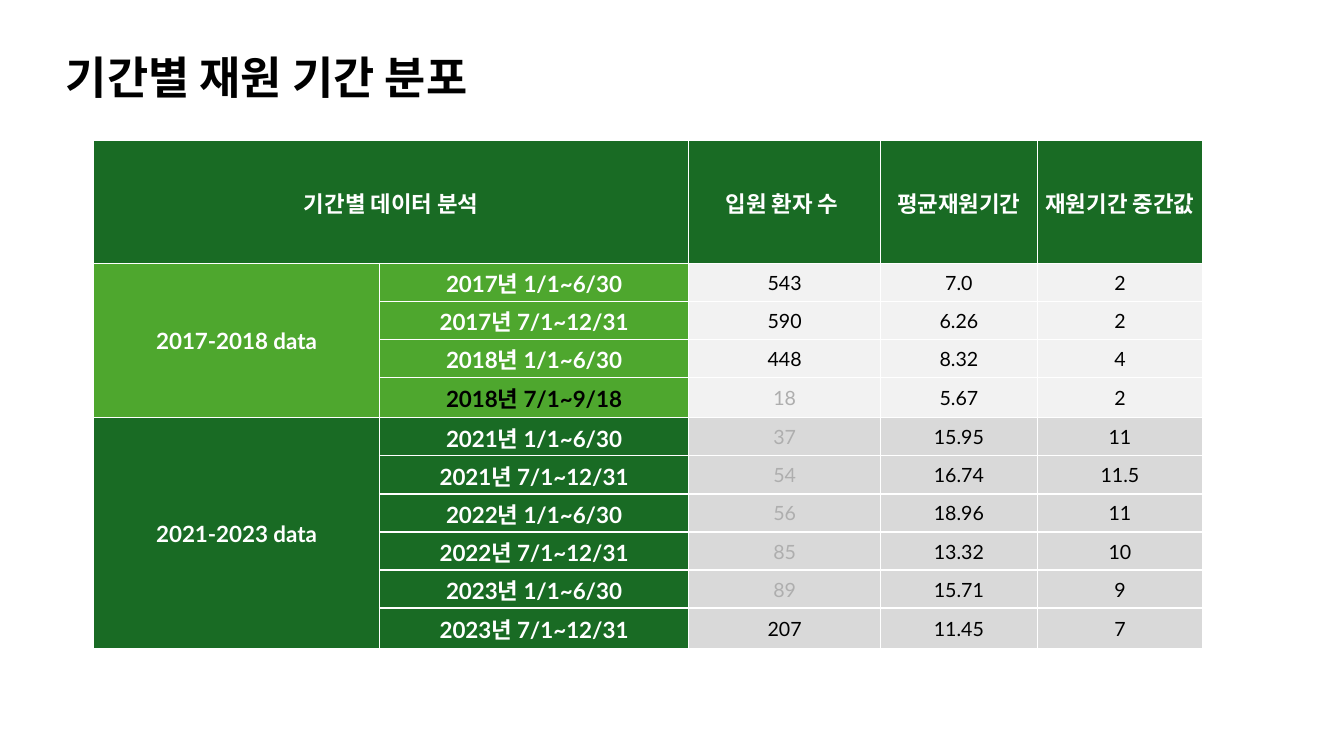
from lxml.etree import SubElement
from pptx import Presentation
from pptx.dml.color import RGBColor
from pptx.enum.text import MSO_ANCHOR as Anchor, PP_ALIGN as Align
from pptx.oxml.ns import qn
from pptx.util import Pt

TITLE = "기간별 재원 기간 분포"
PERIOD_HEADER = "기간별 데이터 분석"
MEASURE_HEADERS = ["입원 환자 수 ", "평균재원기간", "재원기간 중간값"]
GROUPS = [
    ("2017-2018 data", "light_green", "light_gray", [
        ("2017년 1/1~6/30", "543", "7.0", "2"),
        ("2017년 7/1~12/31", "590", "6.26", "2"),
        ("2018년 1/1~6/30", "448", "8.32", "4"),
        ("2018년 7/1~9/18", "18", "5.67", "2"),
    ]),
    ("2021-2023 data", "dark_green", "gray", [
        ("2021년 1/1~6/30", "37", "15.95", "11"),
        ("2021년 7/1~12/31", "54", "16.74", "11.5"),
        ("2022년 1/1~6/30", "56", "18.96", "11"),
        ("2022년 7/1~12/31", "85", "13.32", "10"),
        ("2023년 1/1~6/30", "89", "15.71", "9"),
        ("2023년 7/1~12/31", "207", "11.45", "7"),
    ]),
]
PARTIAL_PERIOD = "2018년 7/1~9/18"
FEW_PATIENTS = 100

COLORS = {
    "white": "FFFFFF", "black": "000000", "faded": "AEAEAE",
    "dark_green": "196B24", "light_green": "4EA72E",
    "light_gray": "F2F2F2", "gray": "D9D9D9",
}
LABEL = {"size": Pt(16), "bold": True, "name": "Lato"}
MEASURE_LABEL = {**LABEL, "name": "Arial Narrow"}
VALUE = {"size": Pt(14), "bold": False, "name": "Lato"}
TITLE_FONT = {"size": Pt(32), "bold": True, "name": "Lato"}
CELL_FORMAT = {
    "margin_left": Pt(0.7), "margin_right": Pt(0.7), "margin_top": Pt(0.7),
    "margin_bottom": Pt(0), "vertical_anchor": Anchor.MIDDLE,
}

TABLE_LEFT, TABLE_TOP = 67, 100.3
COLUMN_WIDTHS = [204, 221, 137, 112, 118]
HEADER_HEIGHT, ROW_HEIGHT, LAST_ROW_HEIGHT = 87.8, 27.2, 28.8


def apply_format(target, values):
    for attribute, value in values.items():
        setattr(target, attribute, value)


def write(paragraph, text, font, color):
    run = paragraph.add_run()
    run.text = text
    apply_format(run.font, font)
    run.font.color.rgb = RGBColor.from_string(COLORS[color])


def style_cell(cell, fill):
    apply_format(cell, CELL_FORMAT)
    properties = cell._tc.get_or_add_tcPr()
    for side in ("a:lnL", "a:lnR", "a:lnT", "a:lnB"):
        line = SubElement(properties, qn(side), w=str(Pt(1)))
        SubElement(SubElement(line, qn("a:solidFill")), qn("a:srgbClr"), val=COLORS["white"])
    cell.fill.solid()
    cell.fill.fore_color.rgb = RGBColor.from_string(COLORS[fill])


def fill_cell(cell, text, font, color="white"):
    paragraph = cell.text_frame.paragraphs[0]
    paragraph.alignment = Align.CENTER
    write(paragraph, text, font, color)


def add_period_table(slide):
    row_heights = [HEADER_HEIGHT]
    for *_, periods in GROUPS:
        row_heights += [ROW_HEIGHT] * (len(periods) - 1) + [LAST_ROW_HEIGHT]
    table = slide.shapes.add_table(
        len(row_heights), len(COLUMN_WIDTHS), Pt(TABLE_LEFT), Pt(TABLE_TOP),
        Pt(sum(COLUMN_WIDTHS)), Pt(sum(row_heights))).table
    for column, width in zip(table.columns, COLUMN_WIDTHS):
        column.width = Pt(width)
    for row, height in zip(table.rows, row_heights):
        row.height = Pt(height)

    for cell in table.rows[0].cells:
        style_cell(cell, "dark_green")
    table.cell(0, 0).merge(table.cell(0, 1))
    fill_cell(table.cell(0, 0), PERIOD_HEADER, LABEL)
    for column, header in enumerate(MEASURE_HEADERS, 2):
        fill_cell(table.cell(0, column), header, MEASURE_LABEL)

    first = 1
    for group, label_fill, value_fill, periods in GROUPS:
        for row, (period, patients, mean, median) in enumerate(periods, first):
            for column, cell in enumerate(table.rows[row].cells):
                style_cell(cell, label_fill if column < 2 else value_fill)
            fill_cell(table.cell(row, 1), period, LABEL,
                      "black" if period == PARTIAL_PERIOD else "white")
            fill_cell(table.cell(row, 2), patients, VALUE,
                      "faded" if int(patients) < FEW_PATIENTS else "black")
            fill_cell(table.cell(row, 3), mean, VALUE, "black")
            fill_cell(table.cell(row, 4), median, VALUE, "black")
        table.cell(first, 0).merge(table.cell(first + len(periods) - 1, 0))
        fill_cell(table.cell(first, 0), group, LABEL)
        first += len(periods)


def main():
    presentation = Presentation()
    presentation.slide_width, presentation.slide_height = Pt(960), Pt(540)
    slide = presentation.slides.add_slide(presentation.slide_layouts[6])
    add_period_table(slide)
    title = slide.shapes.add_textbox(Pt(40), Pt(32), Pt(480), Pt(46)).text_frame
    title.word_wrap = True
    write(title.paragraphs[0], TITLE, TITLE_FONT, "black")
    presentation.save("out.pptx")


if __name__ == "__main__":
    main()
